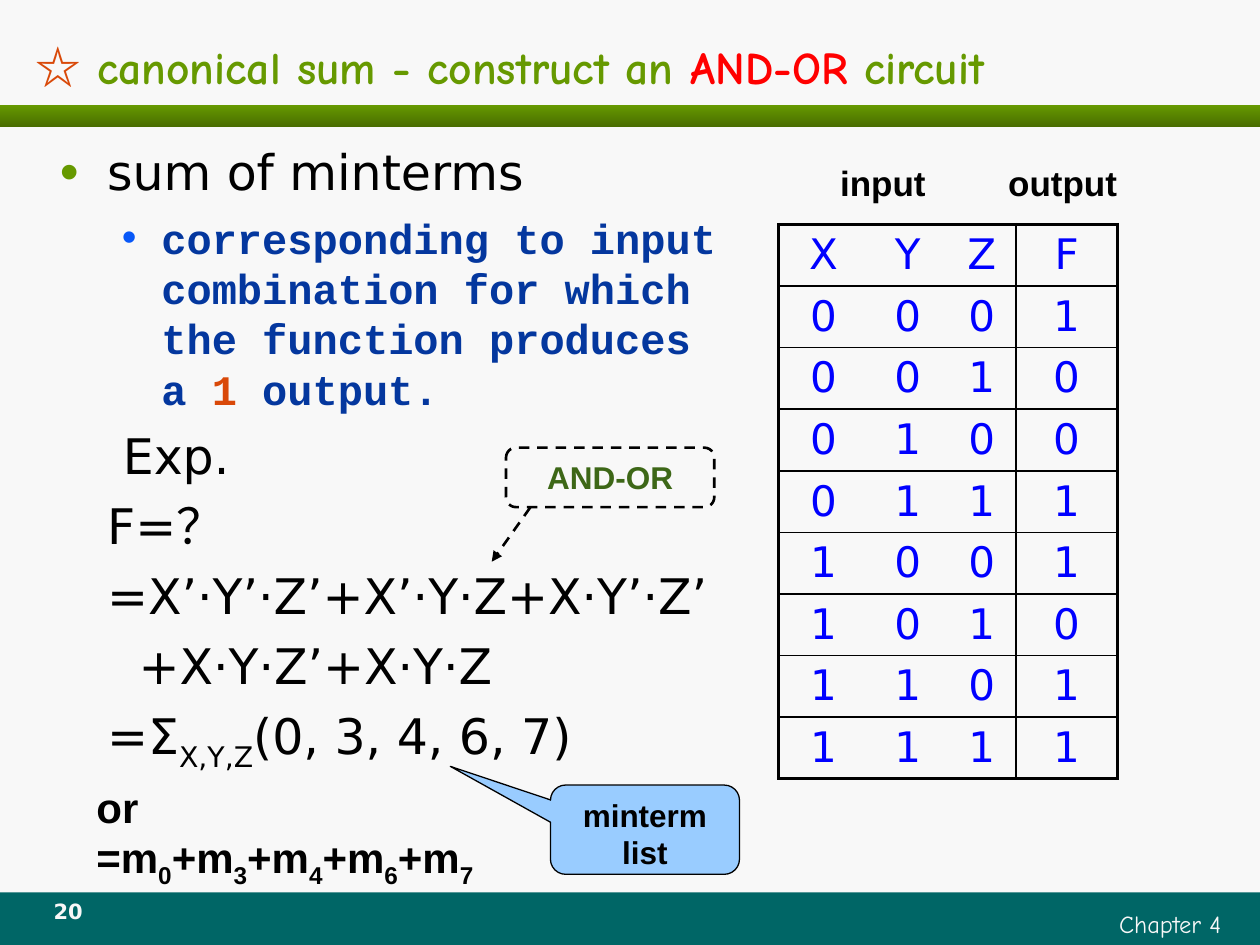
from lxml import etree
from pptx import Presentation
from pptx.dml.color import RGBColor
from pptx.enum.dml import MSO_LINE
from pptx.enum.shapes import MSO_CONNECTOR, MSO_SHAPE
from pptx.enum.text import MSO_ANCHOR, MSO_AUTO_SIZE, PP_ALIGN
from pptx.oxml.ns import qn
from pptx.util import Pt

LEFT, CENTER, RIGHT = PP_ALIGN.LEFT, PP_ALIGN.CENTER, PP_ALIGN.RIGHT
TOP, MIDDLE = MSO_ANCHOR.TOP, MSO_ANCHOR.MIDDLE
DASH = MSO_LINE.DASH

BLACK, WHITE, GREEN, ORANGE = "000000", "F8F8F8", "669900", "D94909"
BODY = {"name": "DejaVu Sans", "size": Pt(28), "bold": False}
DETAIL = {"name": "Courier New", "size": Pt(24), "bold": True}
TITLE = {"name": "Comic Neue", "size": Pt(26), "bold": True}
FOOTER = {"name": "Comic Neue", "size": Pt(14)}
NUMBER = {"name": "DejaVu Sans", "size": Pt(12), "bold": True}
CELL = {"name": "DejaVu Sans", "size": Pt(24)}
HEADING = {"name": "Arial", "size": Pt(20), "bold": True}
LABEL = {"name": "Arial", "size": Pt(18), "bold": True}
MINTERMS = {"name": "Arial", "size": Pt(24), "bold": True}


def paint(color_format, value):
    color_format.rgb = RGBColor.from_string(value)


def write(paragraph, runs, values, align=LEFT):
    """Add (text, colour, is_subscript) runs with shared font values."""
    paragraph.alignment = align
    for text, color, subscript in runs:
        run = paragraph.add_run()
        run.text = text
        for name, value in values.items():
            setattr(run.font, name, value)
        paint(run.font.color, color)
        if subscript:
            run.font._element.set("baseline", "-25000")


presentation = Presentation()
presentation.slide_width, presentation.slide_height = Pt(720), Pt(540)
slide = presentation.slides.add_slide(presentation.slide_layouts[1])
shapes = slide.shapes
slide.background.fill.solid()
paint(slide.background.fill.fore_color, WHITE)

# Footer band and gradient rule under the title
footer_band = shapes.add_shape(MSO_SHAPE.RECTANGLE, 0, Pt(510), Pt(720), Pt(30))
footer_band.fill.solid()
paint(footer_band.fill.fore_color, "006666")
title_rule = shapes.add_shape(MSO_SHAPE.RECTANGLE, 0, Pt(60.3), Pt(720), Pt(12.2))
title_rule.fill.gradient()
title_rule.fill.gradient_angle = 270
for stop, value in zip(title_rule.fill.gradient_stops, (GREEN, "496D00")):
    paint(stop.color, value)
for band in (footer_band, title_rule):
    band.shadow.inherit = False
    band.line.fill.background()

# Title
title = shapes.title
title.left, title.top, title.width, title.height = Pt(13), Pt(15), Pt(691), Pt(45.5)
title.text_frame.auto_size = MSO_AUTO_SIZE.NONE
title.text_frame.vertical_anchor = MIDDLE
title_paragraph = title.text_frame.paragraphs[0]
write(title_paragraph, [("☆", ORANGE, False),
                        (" canonical sum - construct an ", GREEN, False),
                        ("AND-OR", "FF0000", False),
                        (" circuit", GREEN, False)], TITLE)
star_font = title_paragraph.runs[0].font
star_font.name = "Noto Sans CJK SC"
etree.SubElement(star_font._element, qn("a:ea"), typeface="Noto Sans CJK SC")

# Body list: level, left margin, first-line indent, bullet colour, font, runs
body_lines = [
    (0, 27, -27, GREEN, BODY, [("sum of minterms", BLACK, False)]),
    (1, 58, -22.5, "0858F8", DETAIL,
     [("corresponding to input combination for which the function produces a ", "04379E", False),
      ("1", ORANGE, False), (" output.", "04379E", False)]),
    (0, 36, 0, None, BODY, [("Exp.", BLACK, False)]),
    (0, 27, 0, None, BODY, [("F=？", BLACK, False)]),
    (0, 27, 0, None, BODY, [("=X’·Y’·Z’+X’·Y·Z+X·Y’·Z’", BLACK, False)]),
    (0, 45, 0, None, BODY, [("+X·Y·Z’+X·Y·Z", BLACK, False)]),
    (0, 27, 0, None, BODY, [("=Σ", BLACK, False), ("X,Y,Z", BLACK, True),
                            ("(0, 3, 4, 6, 7)", BLACK, False)]),
]
body = shapes.placeholders[1]
body.left, body.top, body.width, body.height = Pt(27), Pt(77.5), Pt(390), Pt(405)
frame = body.text_frame
frame.auto_size = MSO_AUTO_SIZE.NONE
for index, (level, margin, indent, bullet, values, runs) in enumerate(body_lines):
    paragraph = frame.add_paragraph() if index else frame.paragraphs[0]
    paragraph.level = level
    properties = paragraph._p.get_or_add_pPr()
    properties.set("marL", str(Pt(margin)))
    properties.set("indent", str(Pt(indent)))
    if bullet:
        bullet_color = etree.SubElement(properties, qn("a:buClr"))
        etree.SubElement(bullet_color, qn("a:srgbClr"), val=bullet)
        if level == 0:
            etree.SubElement(properties, qn("a:buSzPct"), val="110000")
        etree.SubElement(properties, qn("a:buChar"), char="•")
    else:
        etree.SubElement(properties, qn("a:buNone"))
    paragraph.space_before = Pt(6.5 if index else 0)
    if values is DETAIL:
        paragraph.line_spacing = Pt(28.8)
    write(paragraph, runs, values)

# Truth table: thick frame, thin row lines, one thin line before the output
truth_rows = ["XYZF", "0001", "0010", "0100", "0111", "1001", "1010", "1101", "1111"]
column_widths = [51, 45.5, 39, 58]
row_height = 35.2
table = shapes.add_table(len(truth_rows), len(column_widths), Pt(445), Pt(128.3),
                         Pt(sum(column_widths)), Pt(row_height * len(truth_rows))).table
table.first_row = table.horz_banding = False
for column, width in zip(table.columns, column_widths):
    column.width = Pt(width)
last_row, last_column = len(truth_rows) - 1, len(column_widths) - 1
for row_index, values in enumerate(truth_rows):
    table.rows[row_index].height = Pt(row_height)
    for column_index, value in enumerate(values):
        cell = table.cell(row_index, column_index)
        cell.fill.background()
        write(cell.text_frame.paragraphs[0], [(value, "0000FF", False)], CELL, CENTER)
        borders = {
            "a:lnL": 2.25 if column_index == 0 else int(column_index == last_column),
            "a:lnR": 2.25 if column_index == last_column else int(column_index == last_column - 1),
            "a:lnT": 2.25 if row_index == 0 else 1,
            "a:lnB": 2.25 if row_index == last_row else 1,
        }
        cell_properties = cell._tc.get_or_add_tcPr()
        for position, (tag, weight) in enumerate(borders.items()):
            border = etree.Element(qn(tag), w=str(Pt(weight)))
            if weight:
                border_fill = etree.SubElement(border, qn("a:solidFill"))
                etree.SubElement(border_fill, qn("a:srgbClr"), val=BLACK)
            else:
                etree.SubElement(border, qn("a:noFill"))
            cell_properties.insert(position, border)

# Text boxes: table headings, minterm sum, footer and slide number
minterm_runs = [("or =m", BLACK, False), ("0", BLACK, True)]
for number in "3467":
    minterm_runs += [("+m", BLACK, False), (number, BLACK, True)]
text_boxes = [
    ((473, 88.5, 79, 31), HEADING, LEFT, [("input", BLACK, False)]),
    ((569, 88.5, 85, 31), HEADING, LEFT, [("output", BLACK, False)]),
    ((48, 443, 253, 65), MINTERMS, LEFT, minterm_runs),
    ((417, 516, 288, 24), FOOTER, RIGHT, [("Chapter 4", WHITE, False)]),
    ((18, 510, 42, 24), NUMBER, CENTER, [("20", WHITE, False)]),
]
for box, values, align, runs in text_boxes:
    text_box = shapes.add_textbox(*map(Pt, box))
    text_box.text_frame.word_wrap = True
    write(text_box.text_frame.paragraphs[0], runs, values, align)

# Callout and dashed label
callout = shapes.add_shape(MSO_SHAPE.ROUNDED_RECTANGULAR_CALLOUT,
                           Pt(314.6), Pt(448.6), Pt(108), Pt(51))
for index, value in enumerate((-1.03, -0.71, 0.17)):
    callout.adjustments[index] = value
callout.fill.solid()
paint(callout.fill.fore_color, "99CCFF")
label = shapes.add_shape(MSO_SHAPE.ROUNDED_RECTANGLE, Pt(289.2), Pt(255.8), Pt(119), Pt(34))
label.fill.background()
label.line.dash_style = DASH
for shape, text, color, weight, anchor, wrap in (
        (callout, "minterm list", BLACK, 0.75, TOP, True),
        (label, "AND-OR", "3D6717", 1.5, MIDDLE, False)):
    shape.shadow.inherit = False
    shape.line.width = Pt(weight)
    paint(shape.line.color, BLACK)
    shape.text_frame.vertical_anchor = anchor
    shape.text_frame.word_wrap = wrap
    write(shape.text_frame.paragraphs[0], [(text, color, False)], LABEL, CENTER)

# Dashed arrow from the label to the sum
arrow = shapes.add_connector(MSO_CONNECTOR.STRAIGHT, Pt(303), Pt(290), Pt(281), Pt(321))
arrow.line.width = Pt(1.5)
paint(arrow.line.color, BLACK)
arrow.line.dash_style = DASH
etree.SubElement(arrow.line._get_or_add_ln(), qn("a:tailEnd"), type="triangle")
etree.SubElement(arrow._element.spPr, qn("a:effectLst"))

presentation.save("out.pptx")
